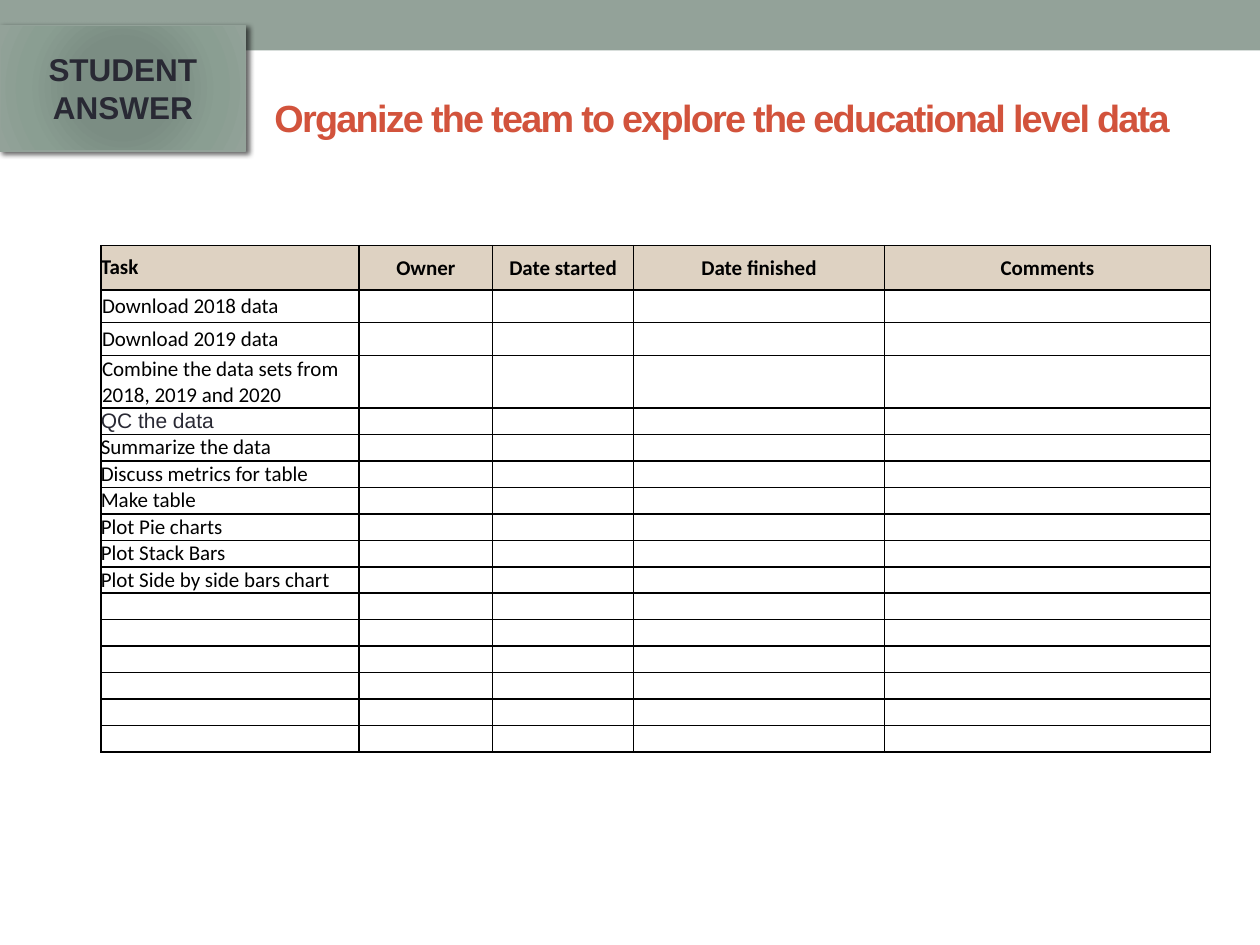
from dataclasses import dataclass

from lxml import etree
from pptx import Presentation
from pptx.dml.color import RGBColor
from pptx.enum.shapes import MSO_SHAPE
from pptx.enum.text import MSO_ANCHOR, PP_ALIGN
from pptx.oxml import parse_xml
from pptx.oxml.ns import qn
from pptx.util import Inches, Pt

RECT = MSO_SHAPE.RECTANGLE
MID = MSO_ANCHOR.MIDDLE
LEFT, MIDDLE = PP_ALIGN.LEFT, PP_ALIGN.CENTER
NS = 'xmlns:a="http://schemas.openxmlformats.org/drawingml/2006/main"'


@dataclass(frozen=True)
class Theme:
    sage: str = "93A299"
    rust: str = "D2533C"
    sand: str = "DED2C2"
    ink: str = "292934"
    black: str = "000000"
    glow: tuple = ((0, "7B8E82"), (34, "7B8D83"), (70, "8A9E92"), (100, "93A299"))
    head: float = 21.6
    tag: float = 18
    body: float = 12
    sans: str = "Arial"
    grid: str = "Calibri"


class Deck:
    def __init__(self, theme):
        self.theme = theme
        self.deck = Presentation()
        self.deck.slide_width, self.deck.slide_height = Inches(10), Inches(7.5)
        self.slide = self.deck.slides.add_slide(self.deck.slide_layouts[6])

    def label(self, frame, text, size, name, color, bold=False, align=LEFT):
        para = frame.paragraphs[0]
        para.alignment = align
        run = para.add_run()
        run.text = text
        for key, val in {"size": Pt(size), "name": name, "bold": bold}.items():
            setattr(run.font, key, val)
        run.font.color.rgb = RGBColor.from_string(color)
        return run

    def box(self, area, color):
        shape = self.slide.shapes.add_shape(RECT, *map(Inches, area))
        shape.shadow.inherit = False
        shape.fill.solid()
        shape.fill.fore_color.rgb = RGBColor.from_string(color)
        shape.line.fill.background()
        return shape

    def title(self, area, text):
        frame = self.slide.shapes.add_textbox(*map(Inches, area)).text_frame
        frame.word_wrap = True
        frame.vertical_anchor = MID
        look = self.theme
        run = self.label(frame, text, look.head, look.sans, look.rust, True)
        run.font._element.set("spc", "-100")

    def badge(self, area, text):
        look = self.theme
        shape = self.box(area, look.sage)
        shape.line.color.rgb = RGBColor.from_string(look.sage)
        shape.line.width = Pt(0.75)
        stops = "".join(
            f'<a:gs pos="{pos * 1000}"><a:srgbClr val="{color}"/></a:gs>'
            for pos, color in look.glow
        )
        props = shape._element.spPr
        props.replace(props.find(qn("a:solidFill")), parse_xml(
            f'<a:gradFill {NS} rotWithShape="1"><a:gsLst>{stops}</a:gsLst>'
            '<a:path path="circle"><a:fillToRect l="50000" t="50000" '
            'r="50000" b="50000"/></a:path></a:gradFill>'
        ))
        props.find(qn("a:effectLst")).append(parse_xml(
            f'<a:outerShdw {NS} blurRad="{Pt(3)}" dist="{Pt(2)}" dir="2700000" '
            f'rotWithShape="0"><a:srgbClr val="{look.black}">'
            '<a:alpha val="60000"/></a:srgbClr></a:outerShdw>'
        ))
        frame = shape.text_frame
        frame.word_wrap = True
        frame.vertical_anchor = MID
        self.label(frame, text, look.tag, look.sans, look.ink, True, MIDDLE)

    def cell(self, cell, text, pad, fill=None, **style):
        look = self.theme
        inset = Inches(pad)
        form = {"margin_left": inset, "margin_top": inset, "margin_right": inset,
                "margin_bottom": 0, "vertical_anchor": MID}
        for key, val in form.items():
            setattr(cell, key, val)
        props = cell._tc.get_or_add_tcPr()
        for side in "LRTB":
            props.append(parse_xml(
                f'<a:ln{side} {NS} w="{Pt(1)}"><a:solidFill>'
                f'<a:srgbClr val="{look.black}"/></a:solidFill></a:ln{side}>'
            ))
        if fill:
            cell.fill.solid()
            cell.fill.fore_color.rgb = RGBColor.from_string(fill)
        else:
            cell.fill.background()
        if text:
            font = {"name": look.grid, "color": look.black} | style
            self.label(cell.text_frame, text, look.body, **font)
        else:
            para = cell.text_frame.paragraphs[0]._p
            etree.SubElement(para, qn("a:endParaRPr"), sz=str(int(look.body * 100)))

    def table(self, area, heads, tasks, wide, tall):
        look = self.theme
        grid = self.slide.shapes.add_table(
            len(tall), len(wide), *map(Inches, area)).table
        for col, width in zip(grid.columns, wide):
            col.width = Inches(width)
        for row, height in zip(grid.rows, tall):
            row.height = Inches(height)
        for col, text in enumerate(heads):
            self.cell(grid.cell(0, col), text, 0.01 if col else 0, look.sand,
                      bold=True, align=MIDDLE if col else LEFT)
        for row in range(1, len(tall)):
            text, pad, style = tasks[row - 1] if row <= len(tasks) else ("", 0, {})
            self.cell(grid.cell(row, 0), text, pad, **style)
            for col in range(1, len(wide)):
                self.cell(grid.cell(row, col), "", 0)


def main():
    theme = Theme()
    page = Deck(theme)
    page.box((0, 0, 10, 0.4), theme.sage)
    page.title((2.08, 0.59, 7.92, 0.68),
               "Organize the team to explore the educational level data")
    heads = ["Task", "Owner", "Date started", "Date finished", "Comments"]
    load = ["Download 2018 data", "Download 2019 data",
            "Combine the data sets from 2018, 2019 and 2020"]
    rest = ["Summarize the data", "Discuss metrics for table", "Make table",
            "Plot Pie charts", "Plot Stack Bars", "Plot Side by side bars chart"]
    tasks = [(text, 0.01, {}) for text in load]
    tasks.append(("QC the data", 0, {"name": theme.sans, "color": theme.ink}))
    tasks += [(text, 0, {}) for text in rest]
    wide = [2.05, 1.06, 1.12, 1.99, 2.59]
    tall = [0.35, 0.26, 0.26, 0.42] + [0.21] * 13
    page.table((0.8, 1.95, sum(wide), sum(tall)), heads, tasks, wide, tall)
    page.badge((0, 0.2, 1.95, 1), "STUDENT ANSWER")
    page.deck.save("out.pptx")


if __name__ == "__main__":
    main()
